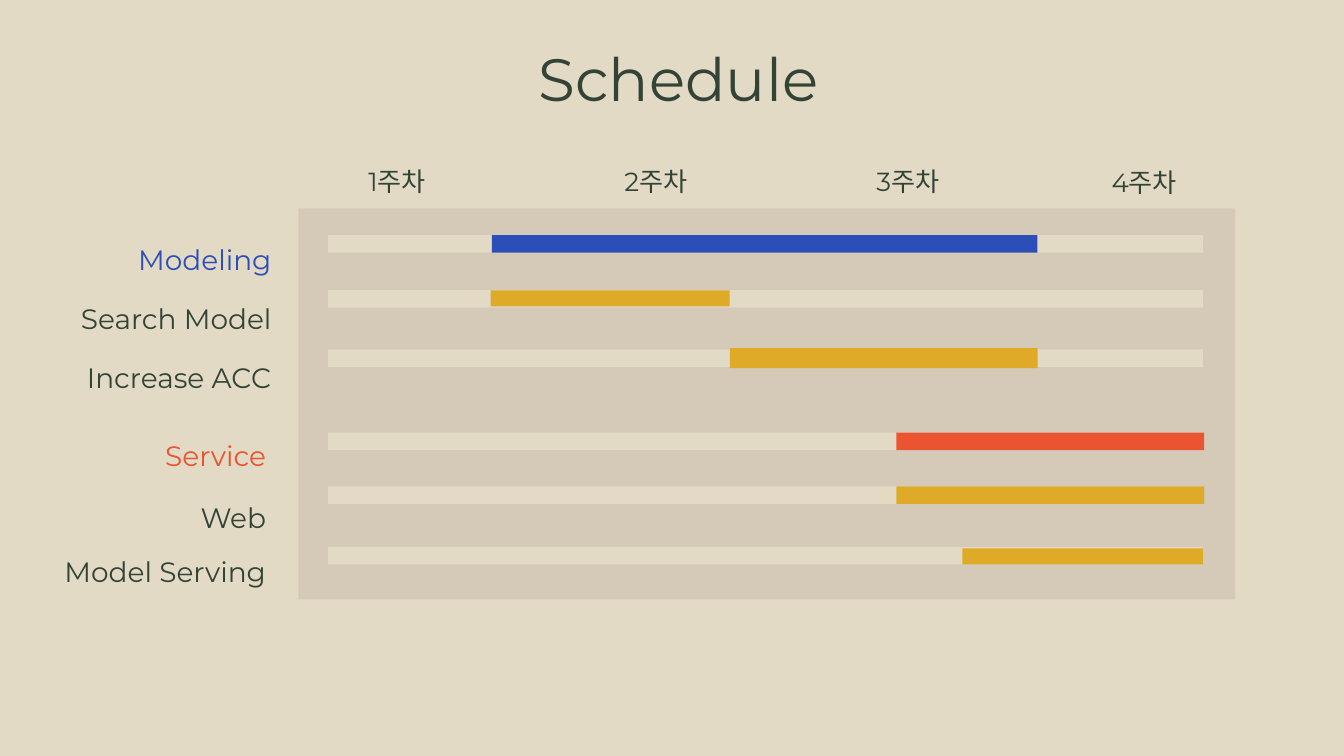
import pptx
import pptx.dml.color
import pptx.enum.shapes
import pptx.enum.text
import pptx.oxml
import pptx.oxml.ns
import pptx.util
from pptx.dml.color import RGBColor
from pptx.util import Inches

CREAM = RGBColor(0xE3, 0xDA, 0xC5)
SAND = RGBColor(0xD4, 0xCA, 0xB7)
GREEN = RGBColor(0x33, 0x44, 0x36)
BLUE = RGBColor(0x2C, 0x4E, 0xB8)
RED = RGBColor(0xEA, 0x54, 0x30)
GOLD = RGBColor(0xDF, 0xAA, 0x28)
LATIN, KOREAN = "Montserrat", "Noto Sans CJK KR"
ALIGN = pptx.enum.text.PP_ALIGN
ANCHOR = pptx.enum.text.MSO_ANCHOR

TRACK_LEFT, TRACK_WIDTH, TRACK_HEIGHT = 2.44, 6.51, 0.13

WEEKS = [
    ("1", 2.44, 1.23, 1.03),
    ("2", 4.32, 1.23, 1.12),
    ("3", 6.27, 1.23, 0.97),
    ("4", 8.08, 1.24, 0.87),
]
TASKS = [
    ("Modeling", BLUE, (0.8, 1.76, 1.22, 0.24), None, 1.75, (3.66, 1.75, 4.06, 0.13), BLUE),
    ("Search Model", GREEN, (0.4, 2.18, 1.62, 0.24), 1.15, 2.16, (3.65, 2.16, 1.78, 0.12), GOLD),
    ("Increase ACC", GREEN, (-0.11, 2.62, 2.13, 0.24), 1.15, 2.6, (5.43, 2.59, 2.29, 0.15), GOLD),
    ("Service", RED, (0.76, 3.22, 1.22, 0.24), None, 3.22, (6.67, 3.22, 2.29, 0.13), RED),
    ("Web", GREEN, (0.83, 3.66, 1.15, 0.24), 1.15, 3.62, (6.67, 3.62, 2.29, 0.13), GOLD),
    ("Model Serving", GREEN, (0.4, 4.1, 1.58, 0.17), 1.15, 4.07, (7.16, 4.08, 1.79, 0.12), GOLD),
]


def add_text(slide, box, align, anchor, insets):
    """Add an empty wrapping text box and return its first paragraph."""
    tf = slide.shapes.add_textbox(*map(Inches, box)).text_frame
    tf.word_wrap = True
    tf.vertical_anchor = anchor
    tf.margin_left, tf.margin_top, tf.margin_right, tf.margin_bottom = map(Inches, insets)
    p = tf.paragraphs[0]
    p.alignment = align
    return p


def add_run(p, text, size, color, font=LATIN):
    """Add a formatted run, naming the font for East Asian text as well."""
    r = p.add_run()
    r.text = text
    r.font.size = pptx.util.Pt(size)
    r.font.color.rgb = color
    r.font.name = font
    if font == KOREAN:
        ea = pptx.oxml.parse_xml(f'<a:ea {pptx.oxml.ns.nsdecls("a")} typeface="{font}"/>')
        r.font._element.find(pptx.oxml.ns.qn("a:latin")).addnext(ea)


def add_week(slide, number, left, top, width):
    """Add a week heading above the chart."""
    p = add_text(slide, (left, top, width, 0.21), ALIGN.CENTER, ANCHOR.TOP, (0, 0, 0, 0))
    p.space_after = pptx.util.Pt(16)
    add_run(p, number, 14, GREEN)
    add_run(p, "주차", 14, GREEN, KOREAN)


def add_label(slide, text, color, box, spacing):
    """Add a right-aligned task name."""
    p = add_text(slide, box, ALIGN.RIGHT, ANCHOR.MIDDLE, (0, 0.1, 0, 0))
    p.line_spacing = spacing
    p.space_after = pptx.util.Pt(16)
    add_run(p, text, 15, color)


def add_bar(shapes, box, color):
    """Add a plain filled rectangle."""
    sp = shapes.add_shape(pptx.enum.shapes.MSO_SHAPE.RECTANGLE, *map(Inches, box))
    sp.shadow.inherit = False
    sp.fill.solid()
    sp.fill.fore_color.rgb = color
    sp.line.fill.background()


def main():
    """Build the schedule slide."""
    prs = pptx.Presentation()
    prs.slide_width = Inches(10)
    prs.slide_height = Inches(10 * 9 / 16)
    s = prs.slides.add_slide(prs.slide_layouts[6])
    s.background.fill.solid()
    s.background.fill.fore_color.rgb = CREAM

    for week in WEEKS:
        add_week(s, *week)
    for name, color, box, spacing, *_ in TASKS:
        add_label(s, name, color, box, spacing)

    chart = s.shapes.add_group_shape().shapes
    add_bar(chart, (2.22, 1.55, 6.97, 2.91), SAND)
    for *_, track_top, bar, bar_color in TASKS:
        add_bar(chart, (TRACK_LEFT, track_top, TRACK_WIDTH, TRACK_HEIGHT), CREAM)
    for *_, bar, bar_color in TASKS:
        add_bar(chart, bar, bar_color)

    title = add_text(s, (0, 0.23, 10, 0.69), ALIGN.CENTER, ANCHOR.MIDDLE, (0.2, 0.1, 0.1, 0.1))
    add_run(title, "Schedule", 32, GREEN)
    prs.save("out.pptx")


if __name__ == "__main__":
    main()
